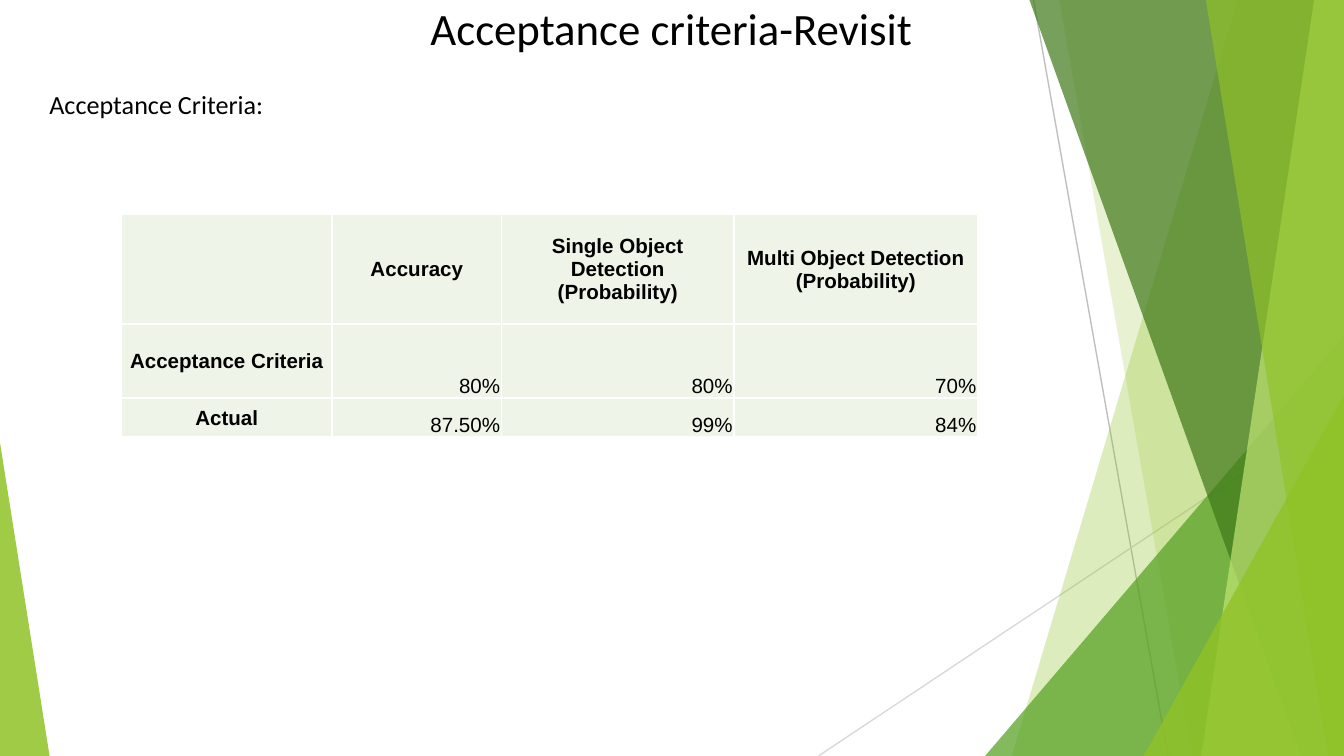
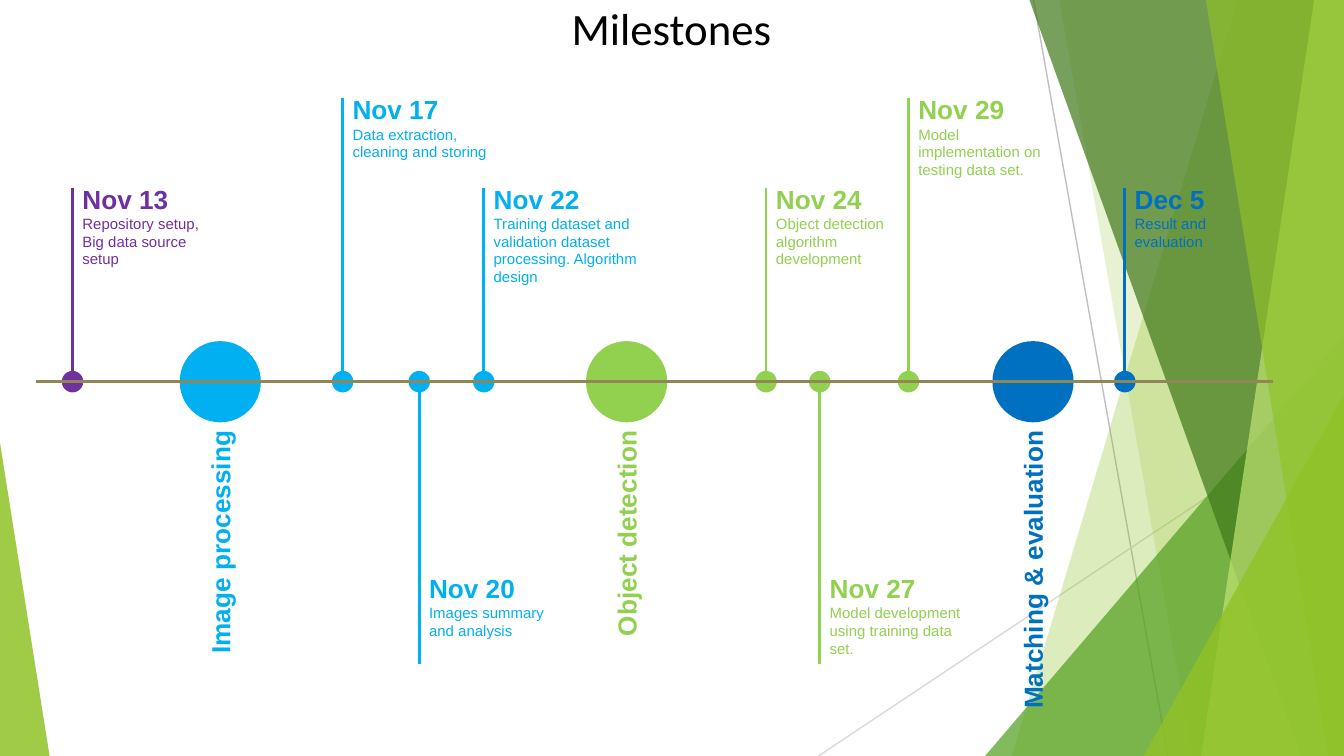
"""Build the acceptance criteria and milestones slides."""

from dataclasses import dataclass

from lxml.etree import SubElement
from pptx import Presentation
from pptx.dml.color import RGBColor
from pptx.enum.shapes import MSO_CONNECTOR, MSO_SHAPE
from pptx.enum.text import MSO_ANCHOR, MSO_AUTO_SIZE, PP_ALIGN
from pptx.oxml.ns import qn
from pptx.util import Pt


@dataclass(frozen=True)
class Theme:
    black: str = "000000"
    white: str = "FFFFFF"
    lime: str = "90C226"
    pale_lime: str = "C0E474"
    green: str = "54A021"
    dark_green: str = "3F7819"
    gray: str = "BFBFBF"
    light_gray: str = "D9D9D9"
    cell: str = "EEF4E8"
    purple: str = "7030A0"
    cyan: str = "00B0F0"
    light_green: str = "92D050"
    blue: str = "0070C0"
    axis: str = "918655"
    heading_font: str = "Calibri"
    body_font: str = "Arial"
    title_size: int = 24
    heading_size: int = 14
    table_size: int = 11
    detail_size: int = 8


theme = Theme()


def add_line(slide, start, end, color, width):
    points = [Pt(value) for value in (*start, *end)]
    connector = slide.shapes.add_connector(MSO_CONNECTOR.STRAIGHT, *points)
    connector.line.color.rgb = RGBColor.from_string(color)
    connector.line.width = Pt(width)
    SubElement(connector.element.spPr, qn("a:effectLst"))


def write_text(frame, lines, color, font_name, alignment, **frame_format):
    for name, value in frame_format.items():
        setattr(frame, name, value)
    for index, (text, size, bold) in enumerate(lines):
        paragraph = frame.paragraphs[0] if index == 0 else frame.add_paragraph()
        paragraph.text = text
        paragraph.alignment = alignment
        font_format = {"name": font_name, "size": Pt(size), "bold": bold}
        for name, value in font_format.items():
            setattr(paragraph.font, name, value)
        paragraph.font.color.rgb = RGBColor.from_string(color)


presentation = Presentation()
presentation.slide_width = Pt(720)
presentation.slide_height = Pt(405)
title_only = presentation.slide_layouts[5]

slides = []
for title in ("Acceptance criteria-Revisit", "Milestones"):
    slide = presentation.slides.add_slide(title_only)
    placeholder = slide.shapes.title
    place = {"left": 109.5, "top": -1.5, "width": 500.4, "height": 33}
    for name, value in place.items():
        setattr(placeholder, name, Pt(value))
    margins = {f"margin_{side}": Pt(7.2) for side in ("left", "top", "right", "bottom")}
    write_text(
        placeholder.text_frame,
        [(title, theme.title_size, False)],
        theme.black,
        theme.heading_font,
        PP_ALIGN.CENTER,
        vertical_anchor=MSO_ANCHOR.MIDDLE,
        auto_size=MSO_AUTO_SIZE.NONE,
        word_wrap=True,
        **margins,
    )
    slides.append(slide)
criteria_slide, milestones_slide = slides

title_count = len(criteria_slide.shapes)
add_line(criteria_slide, (553.7, 0), (625.7, 405), theme.gray, 0.75)
add_line(criteria_slide, (720, 217.5), (438.5, 405), theme.light_gray, 0.75)
facets = [
    ("band", (663, 542), theme.lime, 30),
    ("band", (567.5, 638.6), theme.lime, 20),
    ("triangle", (527.75, 180, 192.25, 225, 1), theme.green, 72),
    ("band", (551.5, 697), theme.dark_green, 70),
    ("band", (704, 643.5), theme.pale_lime, 70),
    ("band", (646, 711.5), theme.lime, 65),
    ("triangle", (612.75, 211.7, 107.25, 193.3, 1), theme.lime, 80),
    ("triangle", (0, 237, 26.6, 168, 0), theme.lime, 85),
]
for kind, geometry, color, opacity in facets:
    if kind == "band":
        top_x, bottom_x = geometry
        builder = criteria_slide.shapes.build_freeform(Pt(top_x), 0)
        corners = [(720, 0), (720, 405), (bottom_x, 405)]
        builder.add_line_segments([(Pt(x), Pt(y)) for x, y in corners])
        shape = builder.convert_to_shape()
    else:
        *box, apex = geometry
        shape = criteria_slide.shapes.add_shape(
            MSO_SHAPE.ISOSCELES_TRIANGLE, *[Pt(value) for value in box]
        )
        shape.adjustments[0] = apex
    shape.shadow.inherit = False
    shape.line.fill.background()
    shape.fill.solid()
    shape.fill.fore_color.rgb = RGBColor.from_string(color)
    fill_color = shape.element.spPr.find(".//" + qn("a:srgbClr"))
    SubElement(fill_color, qn("a:alpha"), val=str(opacity * 1000))

for shape in list(criteria_slide.shapes)[title_count:]:
    title_only.shapes.element.append(shape.element)

subtitle = criteria_slide.shapes.add_textbox(Pt(19.4), Pt(35.3), Pt(651), Pt(58))
write_text(
    subtitle.text_frame,
    [("Acceptance Criteria:", theme.heading_size, False)],
    theme.black,
    theme.heading_font,
    PP_ALIGN.LEFT,
    word_wrap=True,
)
subtitle.text_frame.paragraphs[0].line_spacing = 1.5

criteria_rows = [
    ("", "Accuracy", "Single Object Detection\v(Probability)", "Multi Object Detection\v(Probability)"),
    ("Acceptance Criteria", "80%", "80%", "70%"),
    ("Actual", "87.50%", "99%", "84%"),
]
column_widths = (113, 90.7, 124.6, 130.5)
row_heights = (59, 39.6, 20.8)
table = criteria_slide.shapes.add_table(
    len(row_heights), len(column_widths), Pt(65), Pt(114.6), Pt(sum(column_widths)), Pt(sum(row_heights))
).table
for column, width in zip(table.columns, column_widths):
    column.width = Pt(width)
for row, height in zip(table.rows, row_heights):
    row.height = Pt(height)
for row_index, values in enumerate(criteria_rows):
    for column_index, value in enumerate(values):
        cell = table.cell(row_index, column_index)
        is_label = row_index == 0 or column_index == 0
        cell_format = {
            "margin_left": Pt(0.7),
            "margin_right": Pt(0.7),
            "margin_top": Pt(0.7),
            "margin_bottom": 0,
            "vertical_anchor": MSO_ANCHOR.MIDDLE if is_label else MSO_ANCHOR.BOTTOM,
        }
        for name, setting in cell_format.items():
            setattr(cell, name, setting)
        properties = cell._tc.get_or_add_tcPr()
        for side in ("lnL", "lnR", "lnT", "lnB"):
            border = SubElement(properties, qn(f"a:{side}"), w=str(Pt(1)))
            border_fill = SubElement(border, qn("a:solidFill"))
            SubElement(border_fill, qn("a:srgbClr"), val=theme.white)
        cell.fill.solid()
        cell.fill.fore_color.rgb = RGBColor.from_string(theme.cell)
        write_text(
            cell.text_frame,
            [(value, theme.table_size, is_label)],
            theme.black,
            theme.body_font,
            PP_ALIGN.CENTER if is_label else PP_ALIGN.RIGHT,
        )

axis_y = 204.5
dot_size = 11.5
phase_size = 43.5
label_top = 230.8
label_height = 17.3
label_format = {f"margin_{side}": 0 for side in ("left", "top", "right", "bottom")}
label_format |= {"word_wrap": True, "auto_size": MSO_AUTO_SIZE.SHAPE_TO_FIT_TEXT}

phases = [
    ("Image processing", theme.cyan, 150.5),
    ("Object detection", theme.light_green, 150.5),
    ("Matching & evaluation", theme.blue, 194.4),
]
levels = {"high": (52.6, 50.3), "middle": (100.8, 98), "low": (355.7, 306.7)}
milestones = [
    (38.9, "middle", theme.purple, 57, "Nov 13", ["Repository setup,", "Big data source setup"]),
    (183.6, "high", theme.cyan, 36, "Nov 17", ["Data extraction, cleaning and storing"]),
    (224.6, "low", theme.cyan, 37, "Nov 20", ["Images summary and analysis"]),
    (259.2, "middle", theme.cyan, 55, "Nov 22",
     ["Training dataset and validation dataset processing. Algorithm design"]),
    (410.4, "middle", theme.light_green, 47, "Nov 24", ["Object detection algorithm development"]),
    (439.2, "low", theme.light_green, 46, "Nov 27", ["Model development using training data set."]),
    (486.7, "high", theme.light_green, 47, "Nov 29", ["Model implementation on testing data set."]),
    (602.6, "middle", theme.blue, 37, "Dec 5", ["Result and evaluation"]),
]

circles = [(118 + 217.7 * index, phase_size, color) for index, (_, color, _) in enumerate(phases)]
circles += [(x, dot_size, color) for x, _, color, *_ in milestones]
for x, size, color in circles:
    circle = milestones_slide.shapes.add_shape(
        MSO_SHAPE.OVAL, Pt(x - size / 2), Pt(axis_y - size / 2), Pt(size), Pt(size)
    )
    circle.shadow.inherit = False
    circle.line.fill.background()
    circle.fill.solid()
    circle.fill.fore_color.rgb = RGBColor.from_string(color)

for (name, color, length), (x, *_) in zip(phases, circles):
    label = milestones_slide.shapes.add_textbox(
        Pt(x - length / 2), Pt(label_top + (length - label_height) / 2), Pt(length), Pt(label_height)
    )
    label.rotation = 270
    write_text(
        label.text_frame,
        [(name, theme.heading_size, True)],
        color,
        theme.body_font,
        PP_ALIGN.RIGHT,
        **label_format,
    )

for x, level, color, height, date, details in milestones:
    stem_end, text_top = levels[level]
    stem_start = axis_y + (dot_size / 2 if level == "low" else -dot_size / 2)
    add_line(milestones_slide, (x, stem_start), (x, stem_end), color, 1.5)
    note = milestones_slide.shapes.add_textbox(Pt(x + 5.3), Pt(text_top), Pt(77), Pt(height))
    lines = [(date, theme.heading_size, True)]
    lines += [(detail, theme.detail_size, False) for detail in details]
    write_text(note.text_frame, lines, color, theme.body_font, PP_ALIGN.LEFT, **label_format)

add_line(milestones_slide, (19.4, axis_y), (682, axis_y), theme.axis, 1.5)

presentation.save("out.pptx")
